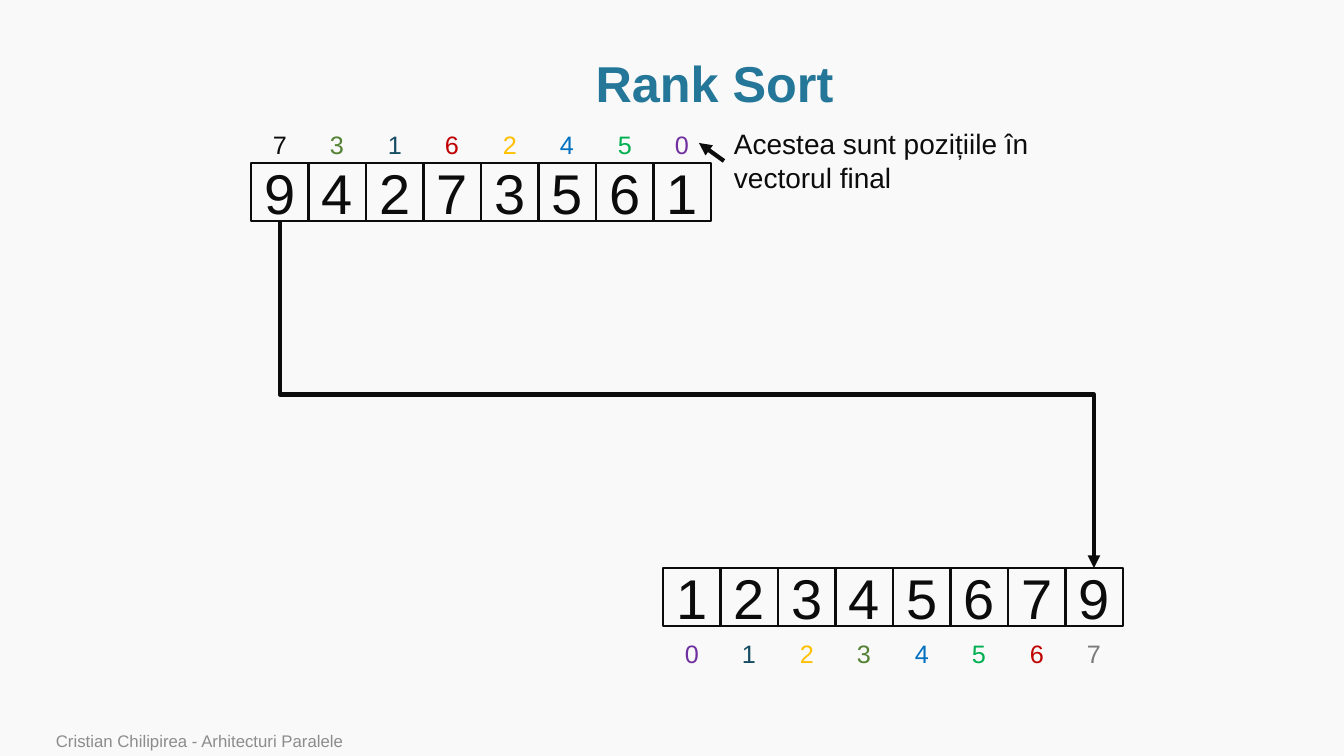
from dataclasses import dataclass

from pptx import Presentation
from pptx import util as u
from pptx.dml.color import RGBColor
from pptx.enum import shapes, text
from pptx.oxml.ns import qn
from lxml import etree


@dataclass(frozen=True)
class Theme:
    font: str = "Arial"
    background: str = "F9F9F9"
    ink: str = "0C0C0C"
    title: str = "247798"
    footer: str = "8C8C8C"
    last_rank: str = "7C7C7C"
    ranks: tuple = ("7030A0", "174D63", "FFC000", "548235", "0070C0", "00B050", "C00000")
    title_size: int = 36
    value_size: int = 40
    rank_size: int = 18
    note_size: int = 20
    footer_size: int = 12
    cell_line: int = 1
    arrow_line: int = 3


class SlideBuilder:
    """Draws arrays, labels and arrows on one slide, in pixels."""

    SCALE = u.Inches(1) / 100.8
    CELL = 58
    ROW_WIDTH = 460
    LABEL = 34

    def __init__(self, presentation, theme):
        self.theme = theme
        presentation.slide_width = self.px(1344)
        presentation.slide_height = self.px(756)
        self.slide = presentation.slides.add_slide(presentation.slide_layouts[6])
        fill = self.slide.background.fill
        fill.solid()
        fill.fore_color.rgb = RGBColor.from_string(theme.background)

    def px(self, length):
        return u.Emu(round(length * self.SCALE))

    def box(self, *bounds):
        return [self.px(length) for length in bounds]

    def add_words(self, shape, words, size, color, align, anchor, bold=False):
        shape.text_frame.vertical_anchor = anchor
        paragraph = shape.text_frame.paragraphs[0]
        paragraph.alignment = align
        run = paragraph.add_run()
        run.text = words
        run.font.name = self.theme.font
        run.font.size = u.Pt(size)
        run.font.bold = bold
        run.font.color.rgb = RGBColor.from_string(color)

    def label(self, bounds, words, size, color, align=text.PP_ALIGN.LEFT,
              anchor=text.MSO_ANCHOR.TOP, wrap=True, grow=False, bold=False):
        shape = self.slide.shapes.add_textbox(*self.box(*bounds))
        shape.text_frame.word_wrap = wrap
        if grow:
            shape.text_frame.auto_size = text.MSO_AUTO_SIZE.SHAPE_TO_FIT_TEXT
        self.add_words(shape, words, size, color, align, anchor, bold)
        return shape

    def title(self, bounds, words):
        shape = self.label(bounds, words, self.theme.title_size, self.theme.title,
                           text.PP_ALIGN.CENTER, text.MSO_ANCHOR.MIDDLE, bold=True)
        shape.text_frame.paragraphs[0].line_spacing = 0.9

    def cell(self, left, top, value):
        shape = self.slide.shapes.add_shape(
            shapes.MSO_SHAPE.RECTANGLE, *self.box(left, top, self.CELL, self.CELL))
        shape.shadow.inherit = False
        shape.fill.background()
        shape.line.color.rgb = RGBColor.from_string(self.theme.ink)
        shape.line.width = u.Pt(self.theme.cell_line)
        self.add_words(shape, str(value), self.theme.value_size, self.theme.ink,
                       text.PP_ALIGN.CENTER, text.MSO_ANCHOR.MIDDLE)
        return shape

    def array(self, left, top, values, ranks, label_top, last_color):
        colors = self.theme.ranks + (last_color,)
        inset = (self.CELL - self.LABEL) // 2
        cells = []
        for index, (value, rank) in enumerate(zip(values, ranks)):
            cell_left = left + self.ROW_WIDTH * index // len(values)
            cells.append(self.cell(cell_left, top, value))
            self.label((cell_left + inset, label_top, self.LABEL, 40), str(rank),
                       self.theme.rank_size, colors[rank], wrap=False, grow=True)
        return cells

    def connector(self, kind, *points):
        connector = self.slide.shapes.add_connector(kind, *points)
        connector.line.color.rgb = RGBColor.from_string(self.theme.ink)
        connector.line.width = u.Pt(self.theme.arrow_line)
        properties = connector._element.spPr
        etree.SubElement(properties.find(qn("a:ln")), qn("a:tailEnd"), type="triangle")
        etree.SubElement(properties, qn("a:effectLst"))
        return connector

    def arrow_from(self, shape, site, start, end):
        connector = self.connector(shapes.MSO_CONNECTOR.STRAIGHT, *self.box(*start, *end))
        connector.begin_connect(shape, site)

    def elbow_down(self, source, target):
        start_x = source.left + source.width // 2
        start_y = source.top + source.height
        end_x = target.left + target.width // 2
        across, down = end_x - start_x, target.top - start_y
        middle_x, middle_y = start_x + across // 2, start_y + down // 2
        connector = self.connector(
            shapes.MSO_CONNECTOR.ELBOW,
            middle_x + down // 2, middle_y - across // 2,
            middle_x - down // 2, middle_y + across // 2)
        connector._element.spPr.find(qn("a:xfrm")).set("rot", str(270 * 60000))


def main():
    theme = Theme()
    presentation = Presentation()
    builder = SlideBuilder(presentation, theme)
    values = [9, 4, 2, 7, 3, 5, 6, 1]
    ordered = sorted(values)
    ranks = [ordered.index(value) for value in values]

    builder.title((115, 51, 1199, 70), "Rank Sort")
    unsorted_cells = builder.array(251, 163, values, ranks, 124, theme.ink)
    sorted_cells = builder.array(663, 568, ordered, range(len(ordered)), 633, theme.last_rank)
    builder.elbow_down(unsorted_cells[0], sorted_cells[-1])
    builder.label((46, 728, 990, 28), "Cristian Chilipirea - Arhitecturi Paralele",
                  theme.footer_size, theme.footer, anchor=text.MSO_ANCHOR.BOTTOM)
    note = builder.label((724, 122, 418, 78), "Acestea sunt pozițiile în vectorul final",
                         theme.note_size, theme.ink, grow=True)
    builder.arrow_from(note, 1, (724, 161), (699, 143))
    presentation.save("out.pptx")


if __name__ == "__main__":
    main()
